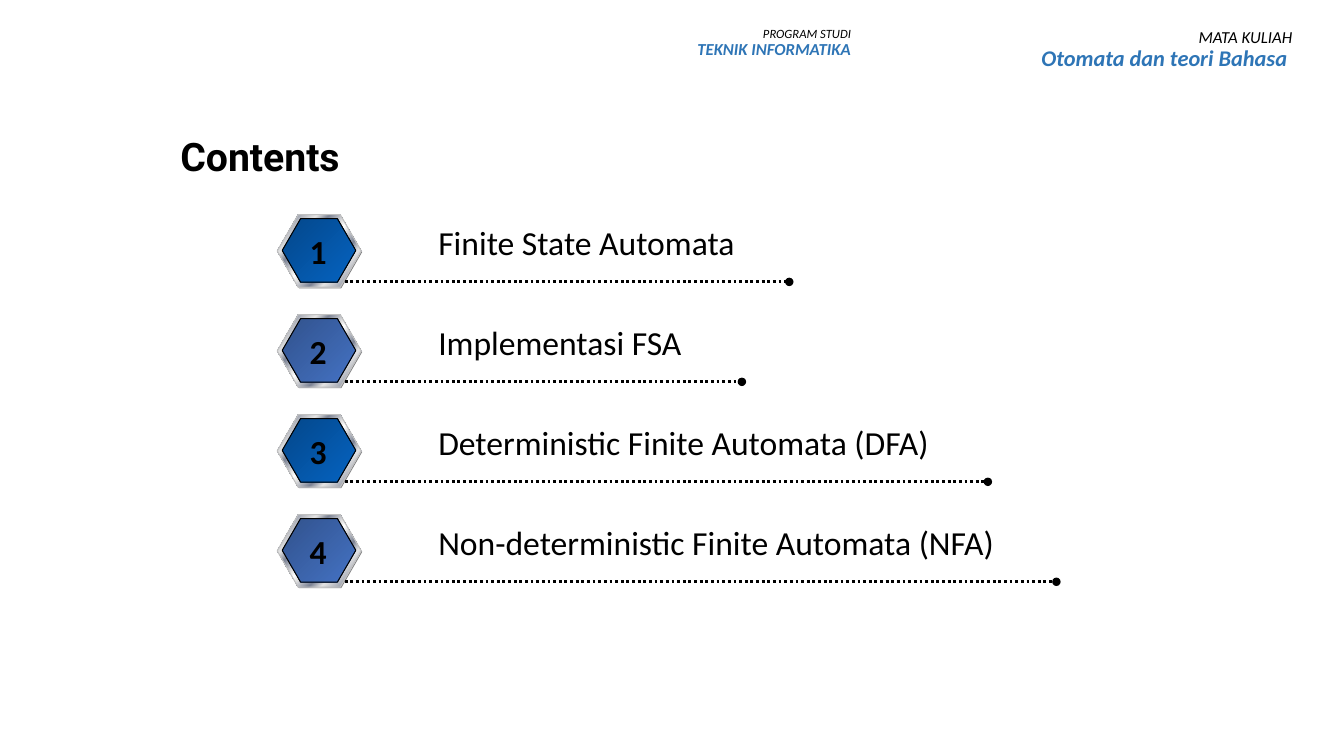
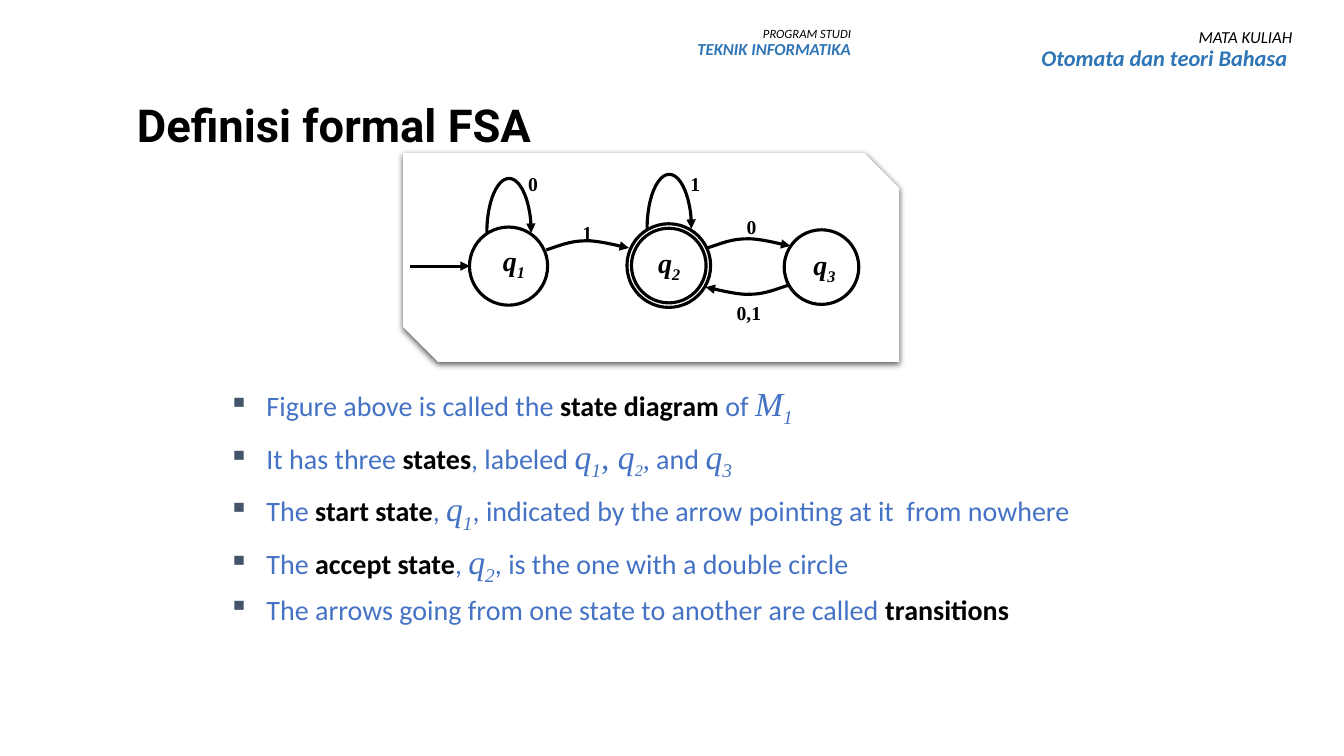
from collections import namedtuple

from lxml.etree import SubElement
from pptx import Presentation
from pptx.dml.color import RGBColor
from pptx.enum.dml import MSO_LINE
from pptx.enum.shapes import MSO_CONNECTOR, MSO_SHAPE
from pptx.enum.text import MSO_ANCHOR, PP_ALIGN
from pptx.oxml.ns import qn
from pptx.util import Emu, Inches, Pt

WIDTH, HEIGHT = Inches(13.333), Inches(7.5)
ROWS = 45
CELL = HEIGHT / ROWS

COLORS = {
    "black": "000000",
    "white": "FFFFFF",
    "header": "2E75B6",
    "body": "4472C4",
    "bullet": "44546A",
    "shade": "808080",
    "rim": "C0C0C0",
    "silver": "E6E6E6",
    "steel": "7D8496",
    "blue_dark": "04478A",
    "blue": "0563C1",
    "indigo_dark": "31528C",
    "indigo": "4472C4",
}

Style = namedtuple("Style", "size font color bold italic baseline",
                   defaults=("Calibri", "black", False, False, 0))
SERIF = "Times New Roman"
STYLES = {
    "contents title": Style(28, "Roboto", bold=True),
    "topic title": Style(32.4, "Roboto", bold=True),
    "program": Style(9, italic=True),
    "program name": Style(12, color="header", bold=True, italic=True),
    "course": Style(12, italic=True),
    "course name": Style(16, color="header", bold=True, italic=True),
    "entry": Style(24),
    "number": Style(24, bold=True),
    "plain": Style(20, color="body"),
    "term": Style(20, bold=True),
    "symbol": Style(24, SERIF, "body", italic=True),
    "index": Style(24, SERIF, "body", italic=True, baseline=-25),
    "small symbol": Style(20, SERIF, "body", italic=True),
    "small index": Style(20, SERIF, "body", italic=True, baseline=-25),
    "input": Style(14, SERIF, bold=True),
    "state": Style(20, SERIF, bold=True, italic=True),
    "state index": Style(20, SERIF, bold=True, italic=True, baseline=-25),
}

METAL = [(0, "silver"), (7, "steel"), (26, "silver"), (34, "steel"),
         (46, "silver"), (50, "white"), (54, "silver"), (66, "steel"),
         (74, "silver"), (93, "steel"), (100, "silver")]
BADGE_FILLS = [[(0, "blue_dark"), (100, "blue")],
               [(0, "indigo_dark"), (100, "indigo")]]

ENTRIES = [
    ("Finite State Automata", 46.98),
    ("Implementasi FSA", 44.16),
    ("Deterministic Finite Automata (DFA)", 58.8),
    ("Non-deterministic Finite Automata (NFA)", 62.88),
]
ENTRY_TOP, ENTRY_PITCH = 12.78, 5.95

BULLETS = [
    [("Figure above is called the ", "plain"), ("state diagram ", "term"),
     ("of ", "plain"), ("M", "symbol"), ("1", "index")],
    [("It has three ", "plain"), ("states", "term"), (", labeled ", "plain"),
     ("q", "symbol"), ("1", "index"), (", q", "symbol"),
     ("2", "small index"), (",", "small symbol"), (" and ", "plain"),
     ("q", "symbol"), ("3", "index")],
    [("The ", "plain"), ("start state", "term"), (", ", "plain"),
     ("q", "symbol"), ("1", "index"),
     (", indicated by the arrow pointing at it  from nowhere", "plain")],
    [("The ", "plain"), ("accept state", "term"), (", ", "plain"),
     ("q", "symbol"), ("2", "index"),
     (", is the one with a double circle", "plain")],
    [("The arrows going from one state to another are called ", "plain"),
     ("transitions", "term")],
]

STATES = [(30.27, 15.84, 4.65), (39.81, 15.81, 4.98),
          (39.81, 15.81, 4.44), (48.9, 15.9, 4.44)]
STATE_LABELS = [("1", 29.34, 14.22), ("2", 38.58, 14.34), ("3", 47.82, 14.46)]
INPUT_LABELS = [("0", 30.84, 9.96), ("1", 40.5, 9.96), ("0,1", 43.26, 17.64),
                ("0", 43.86, 12.48), ("1", 34.08, 12.84)]
LOOPS = [(38.22, 10.68), (28.68, 10.92)]
TRANSITIONS = [(32.52, 14.88, 1), (42.12, 14.76, 1), (46.92, 16.98, -1)]
ARC = [[(0, 0), (0.72, -0.24), (1.44, -0.54), (2.28, -0.54)],
       [(2.28, -0.54), (3.06, -0.6), (4.5, -0.18), (4.92, -0.12)]]
ARC_STEPS = 10


def cells(count):
    return Emu(round(count * CELL))


def rgb(name):
    return RGBColor.from_string(COLORS[name])


def format_span(span, style_name):
    style = STYLES[style_name]
    font = span.font
    font.size, font.name = Pt(style.size), style.font
    font.bold, font.italic = style.bold, style.italic
    font.color.rgb = rgb(style.color)
    if style.baseline:
        properties = span._r.get_or_add_rPr()
        properties.set("baseline", str(style.baseline * 1000))


def add_spans(para, spans):
    for text, style_name in spans:
        span = para.add_run()
        span.text = text
        format_span(span, style_name)


def add_box(shapes, area):
    box = shapes.add_textbox(*map(cells, area))
    box.text_frame.word_wrap = True
    return box.text_frame


def add_text(shapes, area, text, styles, align=PP_ALIGN.LEFT, spacing=None):
    frame = add_box(shapes, area)
    frame.text = text
    for para, style_name in zip(frame.paragraphs, styles):
        para.alignment, para.line_spacing = align, spacing
        format_span(para.runs[0], style_name)
    return frame


def add_title(page, area, text, style_name):
    frame = add_text(page.shapes, area, text, [style_name], spacing=0.9)
    frame.vertical_anchor = MSO_ANCHOR.MIDDLE


def add_header(page):
    add_text(page.shapes, (36.18, 1.32, 15.06, 3.36),
             "PROGRAM STUDI\nTEKNIK INFORMATIKA",
             ["program", "program name"], PP_ALIGN.RIGHT, 0.9)
    add_text(page.shapes, (54.96, 1.44, 22.56, 4.44),
             "MATA KULIAH\nOtomata dan teori Bahasa ",
             ["course", "course name"], PP_ALIGN.RIGHT, 0.9)


def paint(shape, fill=None, line=None, weight=0.75):
    shape.shadow.inherit = False
    if fill is None:
        shape.fill.background()
    elif isinstance(fill, str):
        shape.fill.solid()
        shape.fill.fore_color.rgb = rgb(fill)
    else:
        shape.fill.gradient()
        shape.fill.gradient_angle = 315
        stops = next(shape.element.spPr.iter(qn("a:gsLst")))
        stops.clear()
        for position, name in fill:
            stop = SubElement(stops, qn("a:gs"), pos=str(position * 1000))
            SubElement(stop, qn("a:srgbClr"), val=COLORS[name])
    if line is None:
        shape.line.fill.background()
    else:
        shape.line.color.rgb = rgb(line)
        shape.line.width = Pt(weight)


def add_shape(shapes, kind, area, **look):
    shape = shapes.add_shape(kind, *map(cells, area))
    paint(shape, **look)
    return shape


def add_end(shape, end, kind):
    SubElement(shape.element.spPr.find(qn("a:ln")), qn(f"a:{end}"), type=kind)


def add_line(shapes, start, end, weight, tip, dash=None):
    line = shapes.add_connector(MSO_CONNECTOR.STRAIGHT,
                                *map(cells, start + end))
    line.line.color.rgb = rgb("black")
    line.line.width = Pt(weight)
    if dash:
        line.line.dash_style = dash
    add_end(line, "tailEnd", tip)
    SubElement(line.element.spPr, qn("a:effectLst"))


def add_badge(page, top, fill):
    group = page.shapes.add_group_shape().shapes
    layers = [
        ((16.56, top + 0.06, 5, 4.32), {"fill": "shade"}),
        ((16.5, top, 5, 4.32), {"fill": METAL, "line": "rim"}),
        ((16.8, top + 0.24, 4.38, 3.78), {"fill": fill, "line": "black"}),
    ]
    for area, look in layers:
        hexagon = add_shape(group, MSO_SHAPE.HEXAGON, area, **look)
        hexagon.adjustments[0] = 0.289


def add_entry(page, index, text, line_end):
    top = ENTRY_TOP + index * ENTRY_PITCH
    add_badge(page, top, BADGE_FILLS[index % 2])
    add_line(page.shapes, (20.52, top + 4), (line_end, top + 4), 2, "oval",
             MSO_LINE.ROUND_DOT)
    add_text(page.shapes, (25.5, top + 0.12, 36, 3), text, ["entry"])
    add_text(page.shapes, (17.82, top + 0.66, 2.22, 3), str(index + 1),
             ["number"], PP_ALIGN.CENTER)


def add_card(shapes):
    card = add_shape(shapes, MSO_SHAPE.SNIP_2_DIAG_RECTANGLE,
                     (24, 9.12, 29.52, 12.42), fill="white")
    effects = card.element.spPr.find(qn("a:effectLst"))
    shadow = SubElement(effects, qn("a:outerShdw"), blurRad=str(Pt(4.5)),
                        dist=str(Pt(1.5)), dir="5400000", rotWithShape="0")
    color = SubElement(shadow, qn("a:srgbClr"), val=COLORS["black"])
    SubElement(color, qn("a:alpha"), val="63000")


def add_loop(shapes, left, top):
    loop = add_shape(shapes, MSO_SHAPE.LEFT_BRACKET, (left, top, 3.24, 2.64),
                     line="black", weight=2.25)
    loop.adjustments[0] = 0.5
    loop.rotation = 270
    loop.element.spPr.find(qn("a:xfrm")).set("flipH", "1")
    add_end(loop, "headEnd", "triangle")


def curve_point(controls, share):
    rest = 1 - share
    weights = (rest ** 3, 3 * rest ** 2 * share, 3 * rest * share ** 2,
               share ** 3)
    return [sum(weight * value for weight, value in zip(weights, axis))
            for axis in zip(*controls)]


def add_transition(shapes, left, top, direction):
    offsets = [curve_point(controls, step / ARC_STEPS)
               for controls in ARC for step in range(1, ARC_STEPS + 1)]
    points = [(cells(left + direction * x), cells(top + direction * y))
              for x, y in offsets]
    builder = shapes.build_freeform(cells(left), cells(top))
    builder.add_line_segments(points, close=False)
    arc = builder.convert_to_shape()
    paint(arc, line="black", weight=2.25)
    add_end(arc, "tailEnd", "triangle")


def add_state_diagram(page):
    shapes = page.shapes.add_group_shape().shapes
    add_card(shapes)
    for x, y, size in STATES:
        add_shape(shapes, MSO_SHAPE.OVAL,
                  (x - size / 2, y - size / 2, size, size),
                  line="black", weight=2.25)
    for place in LOOPS:
        add_loop(shapes, *place)
    for transition in TRANSITIONS:
        add_transition(shapes, *transition)
    add_line(shapes, (24.42, 15.84), (27.96, 15.84), 2.25, "triangle")
    for text, left, top in INPUT_LABELS:
        add_text(shapes, (left, top, 2.82, 2.04), text, ["input"])
    for index, left, top in STATE_LABELS:
        frame = add_box(shapes, (left, top, 2.82, 2.64))
        add_spans(frame.paragraphs[0],
                  [("q", "state"), (index, "state index")])


def add_bullets(page, area, items):
    frame = add_box(page.shapes, area)
    for index, spans in enumerate(items):
        para = frame.add_paragraph() if index else frame.paragraphs[0]
        properties = para._p.get_or_add_pPr()
        properties.set("marL", "342900")
        properties.set("indent", "-342900")
        before = SubElement(properties, qn("a:spcBef"))
        SubElement(before, qn("a:spcPct"), val="20000")
        color = SubElement(properties, qn("a:buClr"))
        SubElement(color, qn("a:srgbClr"), val=COLORS["bullet"])
        SubElement(properties, qn("a:buChar"), char="▪")
        add_spans(para, spans)


def main():
    deck = Presentation()
    deck.slide_width, deck.slide_height = WIDTH, HEIGHT
    blank = deck.slide_layouts[6]
    contents, definition = [deck.slides.add_slide(blank) for _ in range(2)]

    add_title(contents, (10.14, 6.78, 63.96, 5.34), "Contents",
              "contents title")
    for index, (text, line_end) in enumerate(ENTRIES):
        add_entry(contents, index, text, line_end)

    add_bullets(definition, (13.02, 22.5, 54, 17.52), BULLETS)
    add_state_diagram(definition)
    add_title(definition, (7.56, 5.76, 45.48, 3.72), "Definisi formal FSA",
              "topic title")

    for page in (contents, definition):
        add_header(page)
    deck.save("out.pptx")


if __name__ == "__main__":
    main()
